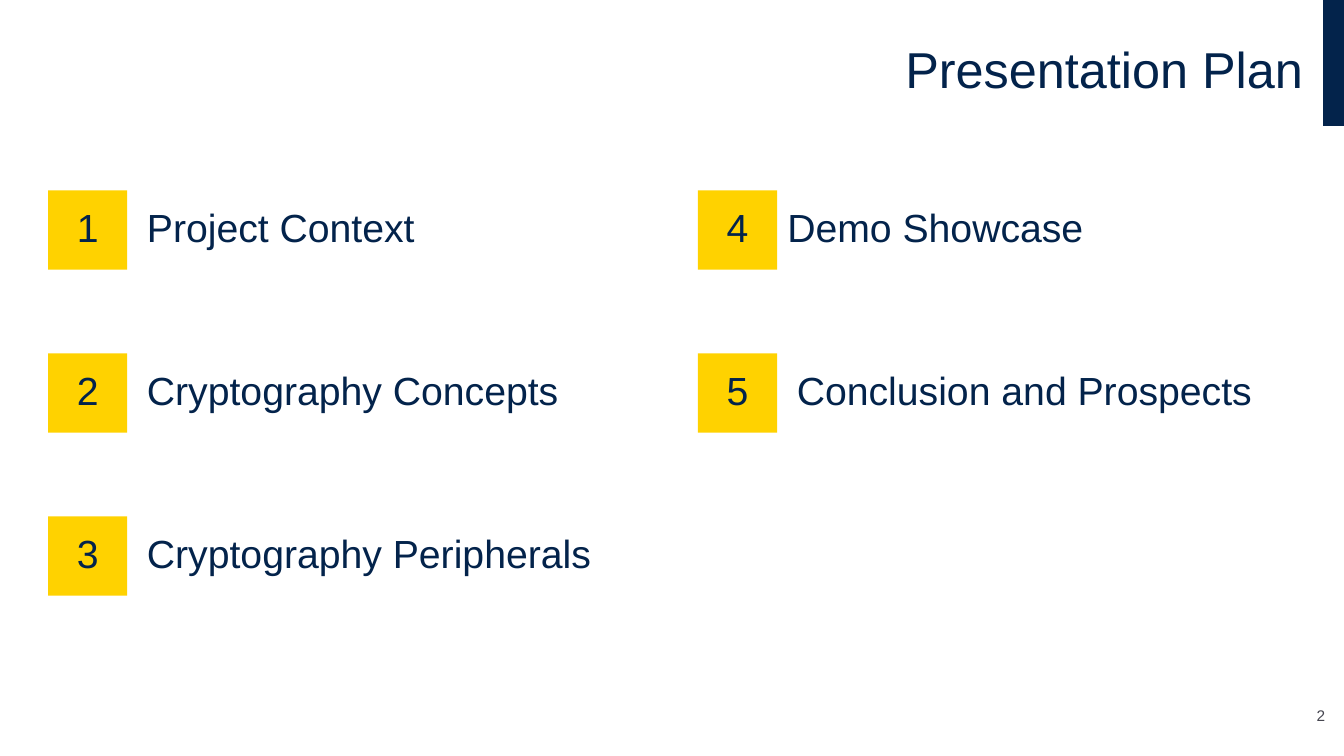
import pptx
import pptx.dml.color
import pptx.enum.shapes
import pptx.enum.text
import pptx.util

Pt = pptx.util.Pt
ALIGN = pptx.enum.text.PP_ALIGN
ANCHOR = pptx.enum.text.MSO_ANCHOR
COLORS = {"navy": "03234B", "yellow": "FFD200", "gray": "464650", "white": "FFFFFF"}


def rgb(name):
    return pptx.dml.color.RGBColor.from_string(COLORS[name])


class SlideBuilder:
    """Holds the text style and the current page."""

    font_name = "Arial"

    def __init__(self, page):
        self.page = page
        page.background.fill.solid()
        page.background.fill.fore_color.rgb = rgb("white")

    def set_text(self, box, text, size, color="navy", align=ALIGN.LEFT,
                 anchor=ANCHOR.MIDDLE, margins=(7.2, 3.6), spacing=0.9):
        frame = box.text_frame
        side, edge = map(Pt, margins)
        para = frame.paragraphs[0]
        span = para.add_run()
        span.text = text
        formats = (
            (frame, {"word_wrap": True, "vertical_anchor": anchor,
                     "margin_left": side, "margin_right": side,
                     "margin_top": edge, "margin_bottom": edge}),
            (para, {"alignment": align, "line_spacing": spacing}),
            (span.font, {"name": self.font_name, "size": Pt(size)}),
        )
        for target, values in formats:
            for key, value in values.items():
                setattr(target, key, value)
        span.font.color.rgb = rgb(color)

    def rectangle(self, left, top, width, height, color):
        box = self.page.shapes.add_shape(
            pptx.enum.shapes.MSO_SHAPE.RECTANGLE,
            Pt(left), Pt(top), Pt(width), Pt(height))
        box.shadow.inherit = False
        box.fill.solid()
        box.fill.fore_color.rgb = rgb(color)
        box.line.fill.background()
        return box

    def text_box(self, left, top, width, height, text, size, **style):
        box = self.page.shapes.add_textbox(Pt(left), Pt(top), Pt(width), Pt(height))
        self.set_text(box, text, size, **style)

    def agenda_item(self, left, top, number, label, label_offset):
        tile = 56.6
        box = self.rectangle(left, top, tile, tile, "yellow")
        self.set_text(box, str(number), 28, align=ALIGN.CENTER, margins=(0, 0))
        self.text_box(left + label_offset, top, 374, tile, label, 28)


def main():
    deck = pptx.Presentation()
    deck.slide_width, deck.slide_height = Pt(960), Pt(540)
    builder = SlideBuilder(deck.slides.add_slide(deck.slide_layouts[6]))

    # Title and corner bar
    builder.rectangle(945.2, 0, 14.8, 90, "navy")
    builder.text_box(23.5, 0, 914.4, 103, "Presentation Plan", 36, align=ALIGN.RIGHT)

    # Agenda: three rows, filled column by column
    items = (
        ("Project Context", 63.6),
        ("Cryptography Concepts", 63.6),
        ("Cryptography Peripherals", 63.6),
        ("Demo Showcase", 56.8),
        ("Conclusion and Prospects", 63.6),
    )
    for index, (label, offset) in enumerate(items):
        column, row = divmod(index, 3)
        builder.agenda_item(34.3 + 464.2 * column, 136 + 116.4 * row,
                            index + 1, label, offset)

    # Page number
    builder.text_box(914.4, 498.2, 32.2, 23, "2", 11, color="gray", align=ALIGN.RIGHT,
                     anchor=ANCHOR.BOTTOM, margins=(0, 3.6), spacing=1.0)

    deck.save("out.pptx")


if __name__ == "__main__":
    main()
